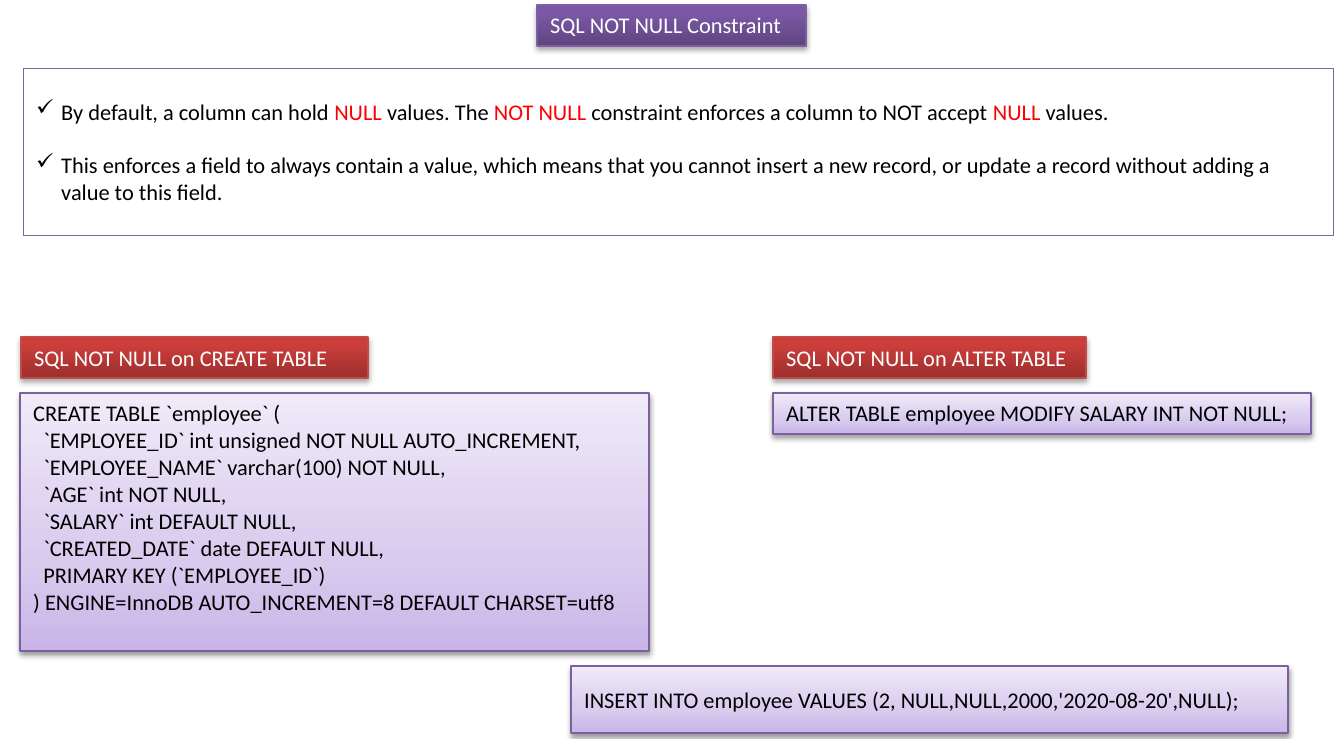
from pptx import Presentation
from pptx.dml.color import RGBColor
from pptx.enum.shapes import MSO_SHAPE
from pptx.enum.text import MSO_ANCHOR, PP_ALIGN
from pptx.oxml import parse_xml
from pptx.oxml.ns import nsdecls, qn
from pptx.util import Pt

SCALE = 914400 / 134.4
WIDE, HIGH = 1344, 739
FONT, SIZE = "Calibri", 12
BLACK, RED, WHITE = "000000", "FF0000", "FFFFFF"
INDENT, GAP = 25, 27

# Looks: gradient stops from the bottom up, line, text, shadow (alpha %, distance pt)
LOOKS = {
    "title": ([(0, "5F4480"), (80, "7B58A6"), (100, "7C57A8")], "7D60A0", WHITE, (35, 1.8)),
    "head": ([(0, "9C2F2D"), (80, "CB3E3A"), (100, "CE3B37")], "BF4C48", WHITE, (35, 1.8)),
    "code": ([(0, "C9B5E8"), (35, "D8CBEE"), (100, "F0EAF9")], "7D60A0", BLACK, (38, 1.6)),
}

# Content
POINTS = [
    [("By default, a column can hold ", BLACK), ("NULL ", RED), ("values. The ", BLACK),
     ("NOT NULL ", RED), ("constraint enforces a column to NOT accept ", BLACK),
     ("NULL", RED), (" values.", BLACK)],
    [("This enforces a field to always contain a value, which means that you cannot "
      "insert a new record, or update a record without adding a value to this field.", BLACK)],
]
CREATE = [
    "CREATE TABLE `employee` (",
    "  `EMPLOYEE_ID` int unsigned NOT NULL AUTO_INCREMENT,",
    "  `EMPLOYEE_NAME` varchar(100) NOT NULL,",
    "  `AGE` int NOT NULL,",
    "  `SALARY` int DEFAULT NULL,",
    "  `CREATED_DATE` date DEFAULT NULL,",
    "  PRIMARY KEY (`EMPLOYEE_ID`)",
    ") ENGINE=InnoDB AUTO_INCREMENT=8 DEFAULT CHARSET=utf8",
]
ALTER = ["ALTER TABLE employee MODIFY SALARY INT NOT NULL;"]
INSERT = ["INSERT INTO employee VALUES (2, NULL,NULL,2000,'2020-08-20',NULL);"]

# Places in px: left, top, width, height
ROW, BODY, RIGHT, BAR = 337, 393, 773, 41
POINT_BOX = (23, 68, 1310, 167)
PANELS = [
    ("title", (537, 5, 269, BAR), ["SQL NOT NULL Constraint"], MSO_ANCHOR.TOP),
    ("head", (21, ROW, 347, BAR), ["SQL NOT NULL on CREATE TABLE"], MSO_ANCHOR.TOP),
    ("head", (RIGHT, ROW, 313, BAR), ["SQL NOT NULL on ALTER TABLE"], MSO_ANCHOR.TOP),
    ("code", (20, BODY, 629, 258), CREATE, MSO_ANCHOR.TOP),
    ("code", (RIGHT, BODY, 538, BAR), ALTER, MSO_ANCHOR.TOP),
    ("code", (571, 666, 717, 67), INSERT, MSO_ANCHOR.MIDDLE),
]


def px(num):
    return round(num * SCALE)


def color(code):
    return RGBColor.from_string(code)


def add_box(slide, place, edge, width, anchor):
    box = slide.shapes.add_shape(MSO_SHAPE.RECTANGLE, *map(px, place))
    box.shadow.inherit = False
    box.line.color.rgb = color(edge)
    box.line.width = Pt(width)
    box.text_frame.word_wrap = True
    box.text_frame.vertical_anchor = anchor
    return box


def add_text(frame, lines):
    for num, runs in enumerate(lines):
        para = frame.add_paragraph() if num else frame.paragraphs[0]
        para.alignment = PP_ALIGN.LEFT
        for text, tone in runs:
            run = para.add_run()
            run.text = text
            run.font.name = FONT
            run.font.size = Pt(SIZE)
            run.font.color.rgb = color(tone)


def add_grad(box, stops):
    box.fill.gradient()
    old = box._element.spPr.find(qn("a:gradFill"))
    marks = "".join(f'<a:gs pos="{pos * 1000}"><a:srgbClr val="{tone}"/></a:gs>'
                    for pos, tone in stops)
    new = parse_xml(f'<a:gradFill {nsdecls("a")} rotWithShape="1"><a:gsLst>{marks}</a:gsLst>'
                    '<a:lin ang="16200000" scaled="0"/></a:gradFill>')
    old.getparent().replace(old, new)


def add_shade(box, alpha, dist):
    box._element.spPr.find(qn("a:effectLst")).append(parse_xml(
        f'<a:outerShdw {nsdecls("a")} blurRad="{Pt(3.1)}" dist="{Pt(dist)}" dir="5400000" '
        f'rotWithShape="0"><a:srgbClr val="{BLACK}"><a:alpha val="{alpha * 1000}"/>'
        '</a:srgbClr></a:outerShdw>'))


def add_points(slide):
    box = add_box(slide, POINT_BOX, "8064A2", 0.25, MSO_ANCHOR.MIDDLE)
    box.fill.solid()
    box.fill.fore_color.rgb = color(WHITE)
    add_text(box.text_frame, POINTS)
    for num, para in enumerate(box.text_frame.paragraphs):
        props = para._p.get_or_add_pPr()
        props.set("marL", str(px(INDENT)))
        props.set("indent", str(-px(INDENT)))
        props.append(parse_xml(f'<a:buChar {nsdecls("a")} char="✓"/>'))
        if num:
            para.space_before = px(GAP)


def add_panel(slide, kind, place, lines, anchor):
    stops, edge, tone, shade = LOOKS[kind]
    box = add_box(slide, place, edge, 0.75, anchor)
    add_grad(box, stops)
    add_shade(box, *shade)
    add_text(box.text_frame, [[(line, tone)] for line in lines])


def main():
    deck = Presentation()
    deck.slide_width, deck.slide_height = px(WIDE), px(HIGH)
    slide = deck.slides.add_slide(deck.slide_layouts[6])
    add_points(slide)
    for panel in PANELS:
        add_panel(slide, *panel)
    deck.save("out.pptx")


if __name__ == "__main__":
    main()
